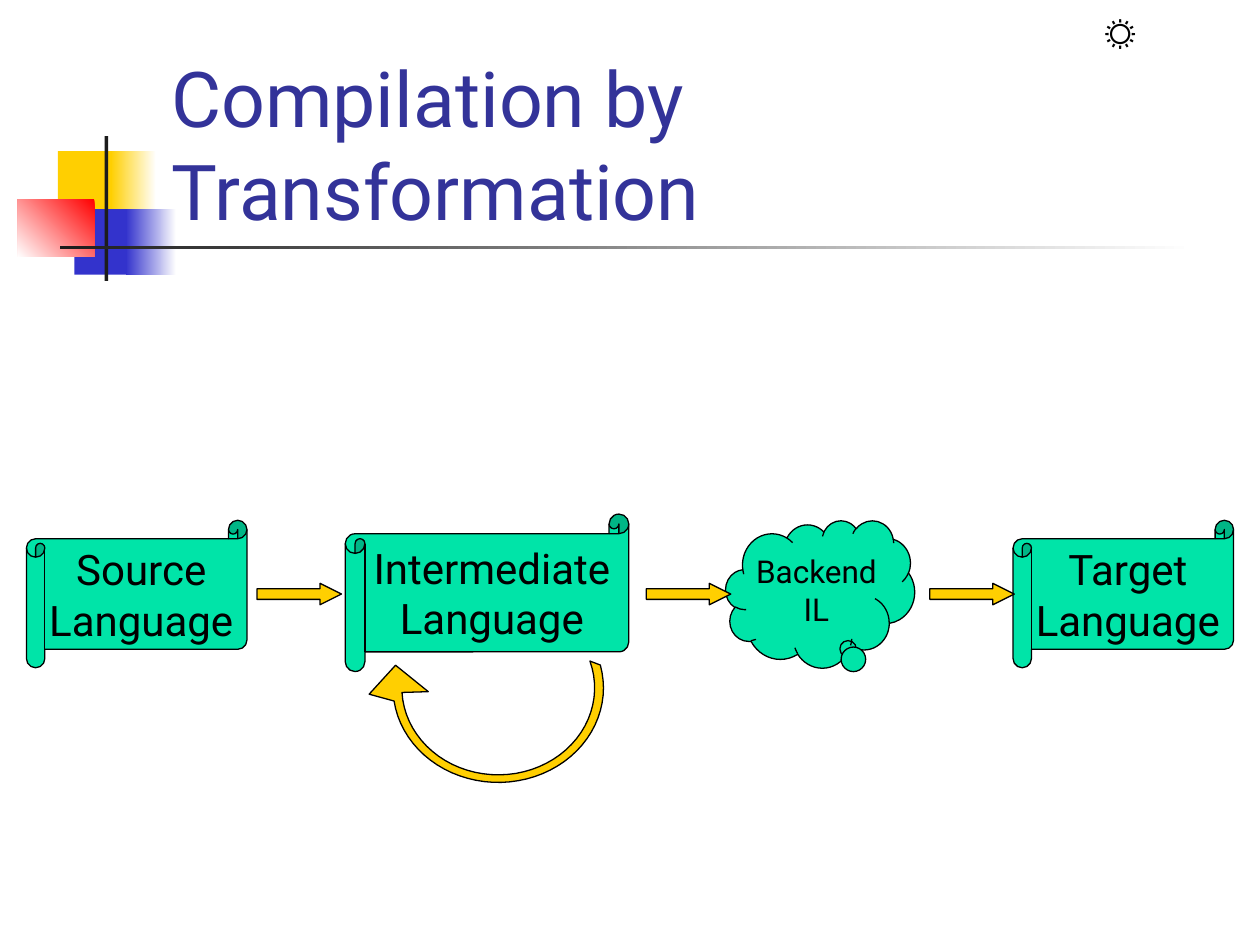
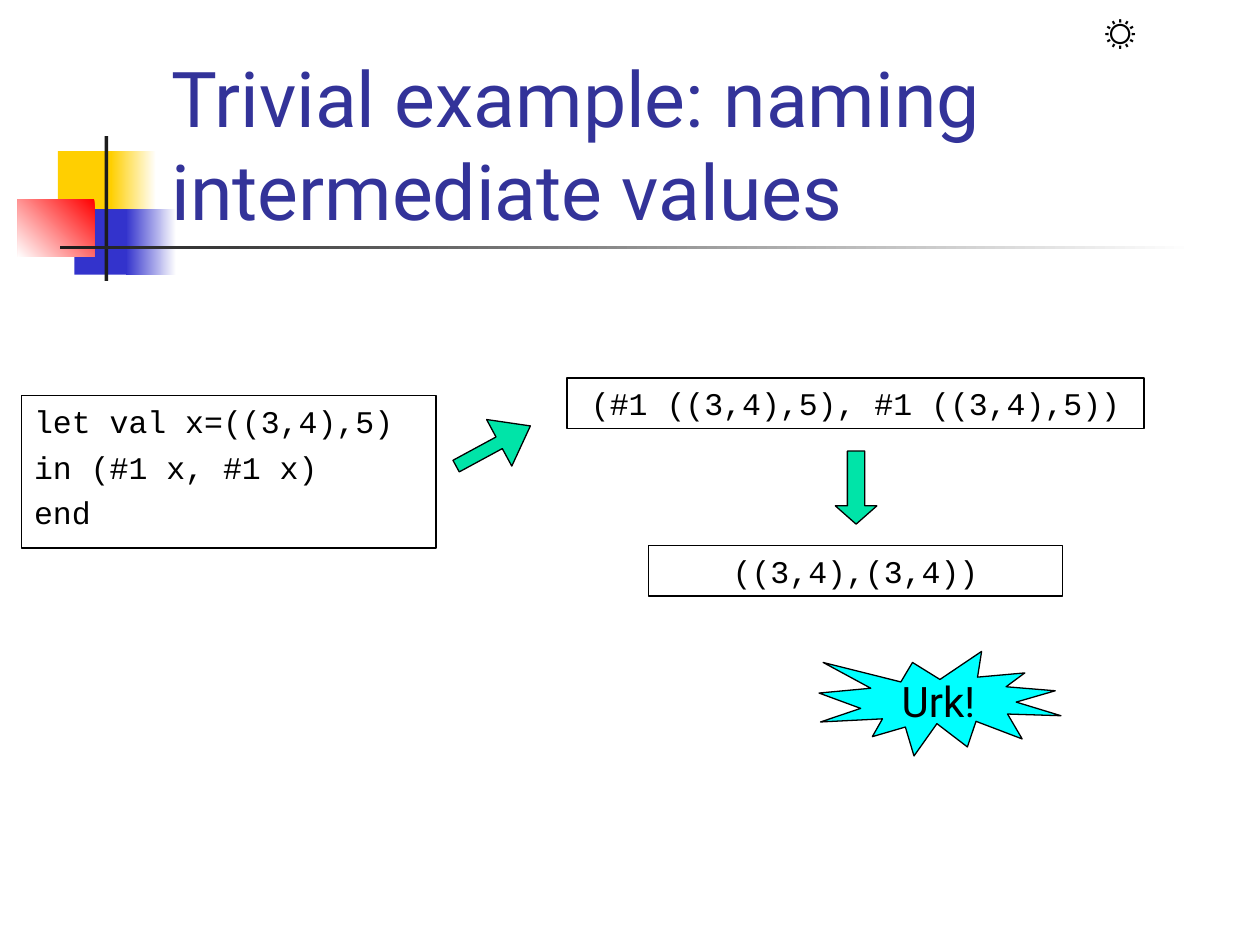
import math

import lxml.etree
import pptx
import pptx.dml.color
import pptx.enum.shapes
import pptx.enum.text
import pptx.oxml.ns
import pptx.util

Inches = pptx.util.Inches
Pt = pptx.util.Pt
Shapes = pptx.enum.shapes.MSO_SHAPE
Align = pptx.enum.text.PP_ALIGN
Anchor = pptx.enum.text.MSO_ANCHOR

BLACK, WHITE, CHARCOAL = "000000", "FFFFFF", "1C1C1C"
YELLOW, BLUE, RED = "FFCF01", "3333CC", "FF0000"
GREEN, CYAN, TITLE_BLUE = "00E4A8", "00FFFF", "333399"
SANS, MONO, SYMBOL = "Roboto", "Courier New", "Calibri"


def colour(value):
    """Turn a hex string into a colour."""
    return pptx.dml.color.RGBColor.from_string(value)


def inches(box):
    """Turn a box or point given in inches into lengths."""
    return [Inches(length) for length in box]


def paint(shape, fill=None, line=None):
    """Give a shape a flat fill and a thin line, or neither."""
    if fill:
        shape.fill.solid()
        shape.fill.fore_color.rgb = colour(fill)
    else:
        shape.fill.background()
    if line:
        shape.line.color.rgb = colour(line)
        shape.line.width = Pt(0.75)
    else:
        shape.line.fill.background()


def add_figure(page, kind, box, fill=None, line=BLACK, adjustments=()):
    """Add a preset shape without a shadow."""
    shape = page.shapes.add_shape(kind, *inches(box))
    shape.shadow.inherit = False
    paint(shape, fill, line)
    for index, value in enumerate(adjustments):
        shape.adjustments[index] = value
    return shape


def fade(shape, first, last, angle):
    """Fill a shape with a two-colour gradient."""
    shape.fill.gradient()
    shape.fill.gradient_angle = angle
    for stop, value in zip(shape.fill.gradient_stops, (first, last)):
        stop.color.rgb = colour(value)


def write(shape, lines, size, font=SANS, ink=BLACK, align=Align.CENTER,
          anchor=Anchor.MIDDLE, wrap=False):
    """Write one paragraph for each line of text."""
    frame = shape.text_frame
    frame.word_wrap = wrap
    frame.auto_size = pptx.enum.text.MSO_AUTO_SIZE.NONE
    frame.vertical_anchor = anchor
    for index, line in enumerate(lines):
        para = frame.add_paragraph() if index else frame.paragraphs[0]
        para.alignment = align
        para.space_before = Pt(0)
        span = para.add_run()
        span.text = line
        span.font.name = font
        span.font.size = Pt(size)
        span.font.color.rgb = colour(ink)


def write_code(shape, lines, align):
    """Write code with a hanging indent and no bullets."""
    write(shape, lines, 18, MONO, align=align, anchor=Anchor.TOP, wrap=True)
    for para in shape.text_frame.paragraphs:
        para.space_before = Pt(4.5)
        properties = para._p.get_or_add_pPr()
        properties.set("marL", str(Inches(0.38)))
        properties.set("indent", str(-Inches(0.38)))
        lxml.etree.SubElement(properties, pptx.oxml.ns.qn("a:buNone"))


def draw_emblem(page, left, top):
    """Draw the coloured squares, cross lines and sun mark."""
    tiles = [
        ((0.32, 0.12, 0.48, 0.52), YELLOW, None),
        ((0.74, 0.12, 0.36, 0.52), None, (WHITE, YELLOW, 180)),
        ((0.45, 0.58, 0.46, 0.52), BLUE, None),
        ((0.86, 0.58, 0.4, 0.52), None, (WHITE, BLUE, 180)),
        ((0, 0.5, 0.61, 0.46), None, (RED, WHITE, 225)),
        ((0.69, 0, 0.03, 1.15), CHARCOAL, None),
        ((0.34, 0.87, 9, 0.03), None, (WHITE, CHARCOAL, 180)),
    ]
    shapes = []
    for (across, down, width, height), fill, gradient in tiles:
        box = (left + across, top + down, width, height)
        tile = add_figure(page, Shapes.RECTANGLE, box, fill, None)
        if gradient:
            fade(tile, *gradient)
        shapes.append(tile)
    sun = page.shapes.add_textbox(*inches((8.67, 0, 1.33, 0.5)))
    write(sun, ["☼"], 24, SYMBOL, align=Align.LEFT, anchor=Anchor.TOP, wrap=True)
    return shapes + [sun]


def share_on_master(deck, shapes):
    """Move shapes to the slide master so that every slide shows them."""
    for number, shape in enumerate(shapes, 100):
        shape._element.nvSpPr.cNvPr.set("id", str(number))
        deck.slide_master.shapes._spTree.append(shape._element)


def add_page(deck, layout, title):
    """Add a slide with the shared title style."""
    page = deck.slides.add_slide(deck.slide_layouts.get_by_name(layout))
    heading = page.shapes.title
    heading.left, heading.top, heading.width, heading.height = inches(
        (1.26, 0.67, 8.52, 1.25))
    write(heading, [title], 44, ink=TITLE_BLUE, align=Align.LEFT,
          anchor=Anchor.BOTTOM, wrap=True)
    return page


def arc(centre, radii, start, end, steps=40):
    """List the points of an elliptical arc, angles in degrees."""
    angles = [math.radians(start + (end - start) * step / steps)
              for step in range(steps + 1)]
    return [(centre[0] + radii[0] * math.cos(angle),
             centre[1] + radii[1] * math.sin(angle)) for angle in angles]


def draw_loop(page, left, top, width, height):
    """Draw the arrow that runs back to the intermediate language."""
    centre = (left + width / 2, top + height / 2)
    outer = (width / 2, height / 2)
    inner = (outer[0] - 0.07, outer[1] - 0.06)
    head = [(left - 0.19, top + 0.8), (left + 0.02, top + 0.57),
            (left + 0.28, top + 0.78)]
    points = arc(centre, inner, 177, -18) + arc(centre, outer, -14, 172) + head
    builder = page.shapes.build_freeform(*inches(points[0]))
    builder.add_line_segments([inches(point) for point in points[1:]], close=True)
    loop = builder.convert_to_shape()
    loop.shadow.inherit = False
    paint(loop, YELLOW, BLACK)


def draw_pipeline(page, left, top):
    """Draw the languages from source to target and the steps between them."""
    draw_loop(page, left + 2.91, top + 0.58, 1.67, 1.5)
    add_figure(page, Shapes.CLOUD_CALLOUT, (left + 5.55, top, 1.5, 1.17),
               GREEN, adjustments=(0.139, 0.35))
    scrolls = [
        ("Source", 0, 0, 1.75, 1.17),
        ("Intermediate", 2.53, -0.05, 2.25, 1.25),
        ("Target", 7.83, 0, 1.75, 1.17),
    ]
    for name, across, down, width, height in scrolls:
        box = (left + across, top + down, width, height)
        scroll = add_figure(page, Shapes.HORIZONTAL_SCROLL, box, GREEN)
        write(scroll, [name, "Language"], 24)
    for across in (1.83, 4.92, 7.17):
        add_figure(page, Shapes.RIGHT_ARROW, (left + across, top + 0.5, 0.67, 0.17),
                   YELLOW, adjustments=(0.5, 1))
    label = page.shapes.add_textbox(*inches((left + 5.67, top + 0.2, 1.2, 0.7)))
    write(label, ["Backend", "IL"], 18, anchor=Anchor.TOP)


def draw_rewriting(page, left, top):
    """Draw the program, its two rewritings and the verdict."""
    program = page.placeholders[1]
    program.left, program.top, program.width, program.height = inches(
        (left, top + 0.14, 3.29, 1.21))
    paint(program, None, BLACK)
    write_code(program, ["let val x=((3,4),5)", "in (#1 x, #1 x)", "end"], Align.LEFT)

    middle = left + 6.62
    results = [("(#1 ((3,4),5), #1 ((3,4),5))", 0, 4.58),
               ("((3,4),(3,4))", 1.33, 3.29)]
    for code, down, width in results:
        box = (middle - width / 2, top + down, width, 0.4)
        write_code(add_figure(page, Shapes.RECTANGLE, box), [code], Align.CENTER)

    inlining = add_figure(page, Shapes.RIGHT_ARROW, (left + 3.41, top + 0.33, 0.67, 0.42),
                          GREEN, adjustments=(0.25, 0.67))
    inlining.rotation = 331.6
    add_figure(page, Shapes.DOWN_ARROW, (middle - 0.16, top + 0.58, 0.33, 0.58),
               GREEN, adjustments=(0.42, 0.44))
    verdict = add_figure(page, Shapes.EXPLOSION1, (left + 6.33, top + 2.17, 1.92, 0.83), CYAN)
    write(verdict, ["Urk!"], 24)


def main():
    """Build the deck and save it."""
    deck = pptx.Presentation()
    deck.slide_width, deck.slide_height = inches((10, 7.5))

    pipeline = add_page(deck, "Title Only", "Compilation by Transformation")
    share_on_master(deck, draw_emblem(pipeline, 0.14, 1.08))
    draw_pipeline(pipeline, 0.21, 4.13)

    example = add_page(deck, "Title and Content",
                       "Trivial example: naming intermediate values")
    draw_rewriting(example, 0.17, 3)

    deck.save("out.pptx")


if __name__ == "__main__":
    main()
